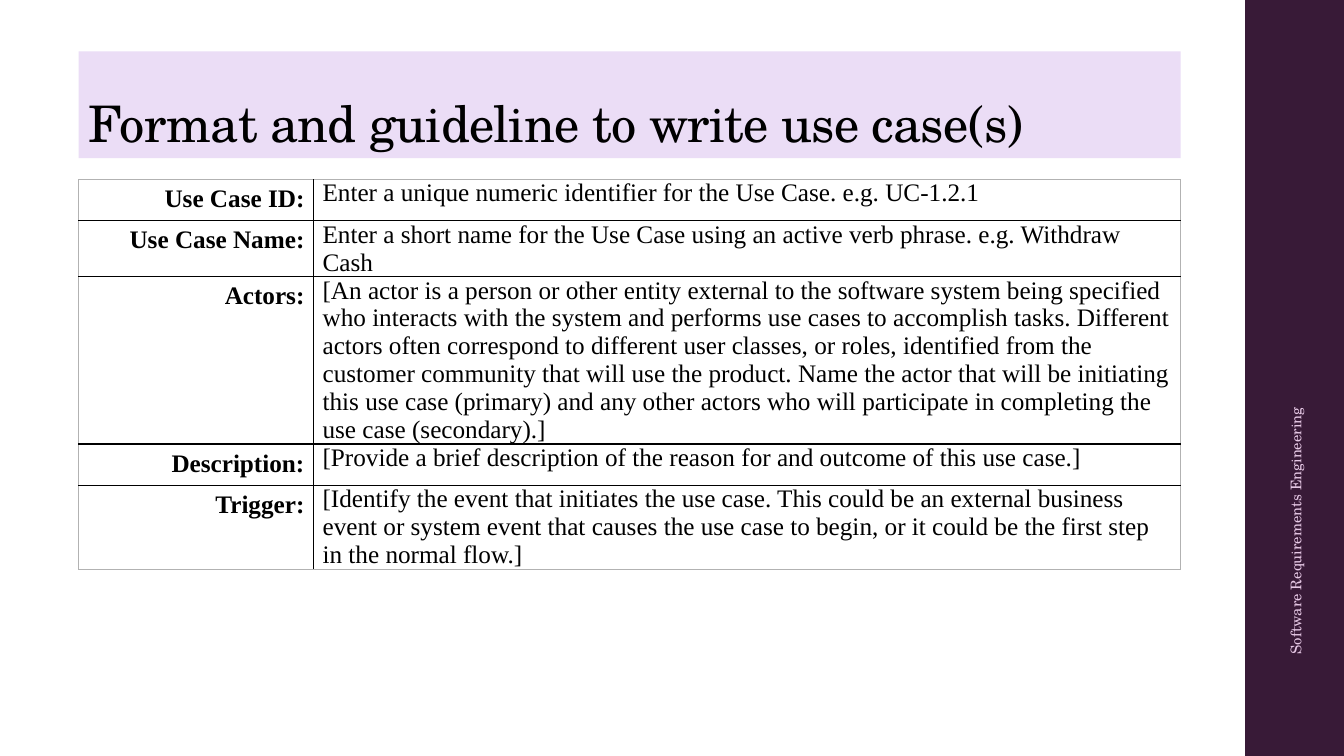
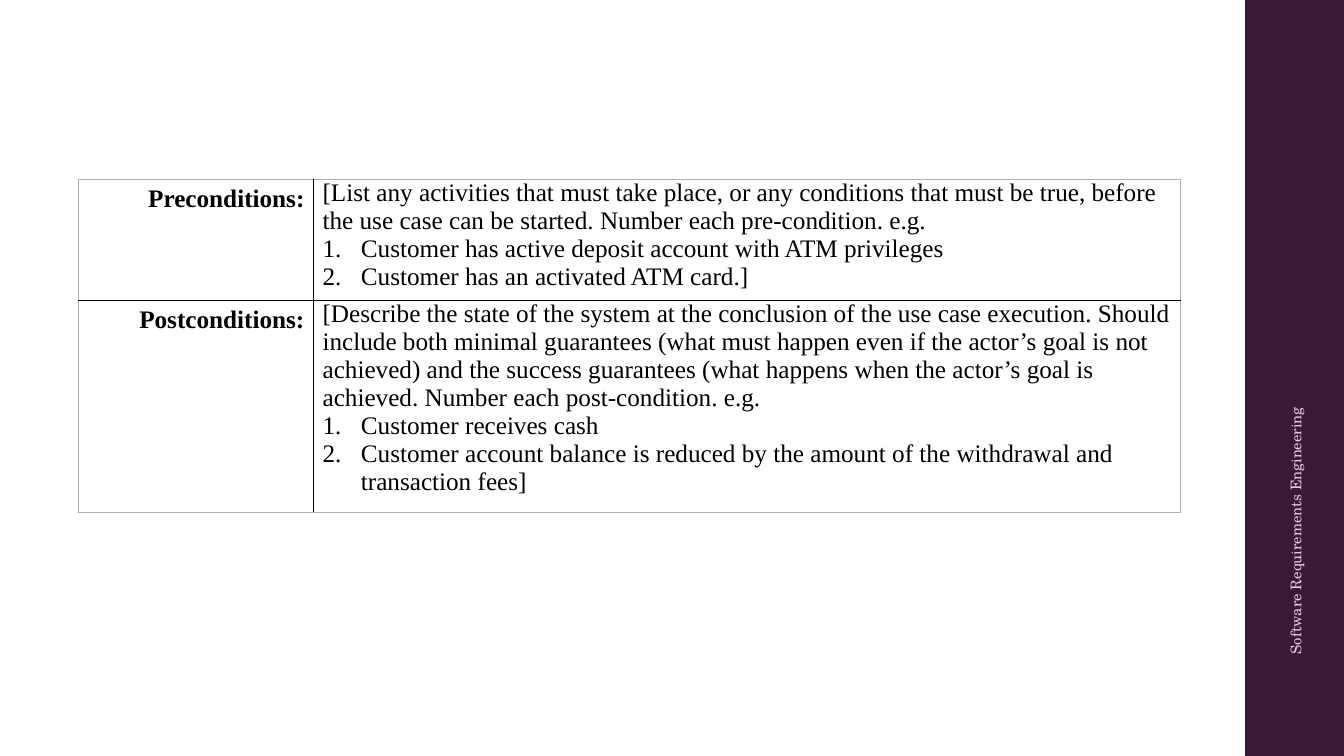
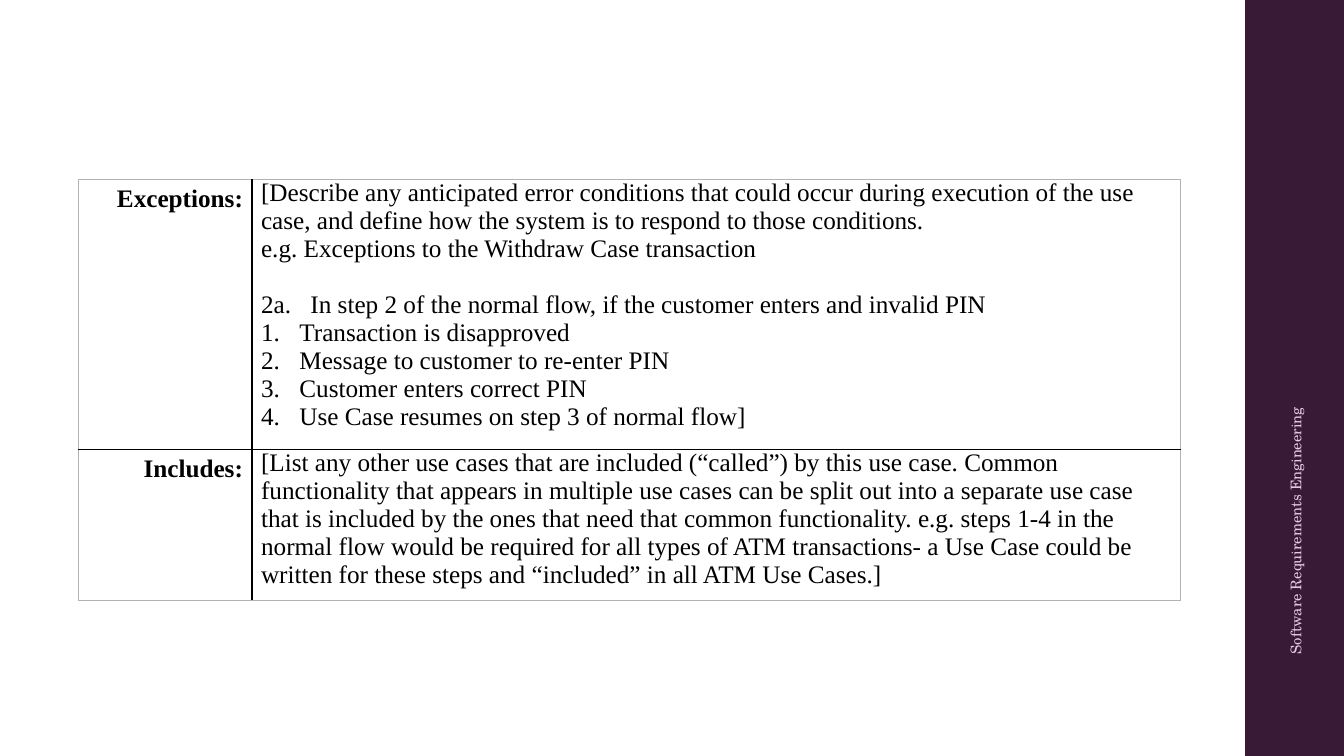
from pptx import Presentation
from pptx.dml.color import RGBColor
from pptx.enum.shapes import MSO_SHAPE
from pptx.enum.text import MSO_ANCHOR, PP_ALIGN
from pptx.oxml.ns import qn
from pptx.util import Inches, Pt
from lxml.etree import SubElement

PLUM = RGBColor(0x38, 0x1A, 0x37)
LILAC = RGBColor(0xEB, 0xDD, 0xF6)
PINK = RGBColor(0xE6, 0xC8, 0xE5)
BLACK = RGBColor(0, 0, 0)
GREY = RGBColor(0xB2, 0xB2, 0xB2)
HEAD, BODY = "TeX Gyre Schola", "Times New Roman"
WIDE, HIGH = 13.33, 7.5
LEFT, TOP, SPAN = 0.78, 1.78, 10.93
BAND = 12.35
ROW = 0.41

FOOTER = "Software Requirements Engineering"

# Each row is a label and its paragraphs: (kind, text).
SLIDES = [
    {"title": "Format and guideline to write use case(s)", "label": 2.33, "rows": [
        ("Use Case ID:", [
            ("plain", "Enter a unique numeric identifier for the Use Case. e.g. UC-1.2.1")]),
        ("Use Case Name:", [
            ("plain", "Enter a short name for the Use Case using an active verb phrase. "
                      "e.g. Withdraw Cash")]),
        ("Actors:", [
            ("plain", "[An actor is a person or other entity external to the software system "
                      "being specified who interacts with the system and performs use cases to "
                      "accomplish tasks. Different actors often correspond to different user "
                      "classes, or roles, identified from the customer community that will use "
                      "the product. Name the actor that will be initiating this use case "
                      "(primary) and any other actors who will participate in completing the "
                      "use case (secondary).]")]),
        ("Description:", [
            ("plain", "[Provide a brief description of the reason for and outcome of this "
                      "use case.]")]),
        ("Trigger:", [
            ("plain", "[Identify the event that initiates the use case. This could be an "
                      "external business event or system event that causes the use case to "
                      "begin, or it could be the first step in the normal flow.]")]),
    ]},
    {"label": 2.33, "rows": [
        ("Preconditions:", [
            ("plain", "[List any activities that must take place, or any conditions that must "
                      "be true, before the use case can be started. Number each pre-condition. "
                      "e.g."),
            ("number", "Customer has active deposit account with ATM privileges"),
            ("number", "Customer has an activated ATM card.]")]),
        ("Postconditions:", [
            ("plain", "[Describe the state of the system at the conclusion of the use case "
                      "execution. Should include both minimal guarantees (what must happen even "
                      "if the actor’s goal is not achieved) and the success guarantees (what "
                      "happens when the actor’s goal is achieved. Number each post-condition. "
                      "e.g."),
            ("number", "Customer receives cash"),
            ("number", "Customer account balance is reduced by the amount of the withdrawal "
                       "and transaction fees]")]),
    ]},
    {"label": 1.72, "rows": [
        ("Exceptions:", [
            ("plain", "[Describe any anticipated error conditions that could occur during "
                      "execution of the use case, and define how the system is to respond to "
                      "those conditions."),
            ("plain", "e.g. Exceptions to the Withdraw Case transaction"),
            ("step", "2a.\tIn step 2 of the normal flow, if the customer enters and invalid PIN"),
            ("number", "Transaction is disapproved"),
            ("number", "Message to customer to re-enter PIN"),
            ("number", "Customer enters correct PIN"),
            ("number", "Use Case resumes on step 3 of normal flow]")]),
        ("Includes:", [
            ("plain", "[List any other use cases that are included (“called”) by this use case. "
                      "Common functionality that appears in multiple use cases can be split out "
                      "into a separate use case that is included by the ones that need that "
                      "common functionality. e.g. steps 1-4 in the normal flow would be required "
                      "for all types of ATM transactions- a Use Case could be written for these "
                      "steps and “included” in all ATM Use Cases.]")]),
    ]},
]


def write(para, text, font, size, color, bold=False):
    run = para.add_run()
    run.text = text
    run.font.name, run.font.size, run.font.bold = font, Pt(size), bold
    run.font.color.rgb = color
    return run


def hang(para, depth):
    """Give a paragraph a hanging indent and return its properties."""
    props = para._p.get_or_add_pPr()
    props.set("marL", str(Inches(depth)))
    props.set("indent", str(-Inches(depth)))
    return props


def rule(cell, side, outer):
    """Draw one border, light at the table's edge and black inside."""
    line = SubElement(cell._tc.get_or_add_tcPr(), qn("a:ln" + side),
                      w=str(Pt(0.5 if outer else 1)))
    fill = SubElement(line, qn("a:solidFill"))
    SubElement(fill, qn("a:srgbClr"), val=str(GREY if outer else BLACK))


def add_grid(slide, label, rows):
    count = len(rows)
    frame = slide.shapes.add_table(count, 2, Inches(LEFT), Inches(TOP),
                                   Inches(SPAN), Inches(ROW * count))
    table = frame.table
    table.first_row = table.horz_banding = False
    table.columns[0].width = Inches(label)
    table.columns[1].width = Inches(SPAN - label)
    for r, (name, paras) in enumerate(rows):
        table.rows[r].height = Inches(ROW)
        for c in range(2):
            cell = table.cell(r, c)
            edges = {"L": c == 0, "R": c == 1, "T": r == 0, "B": r == count - 1}
            for side, outer in edges.items():
                rule(cell, side, outer)
            cell.fill.background()
            cell.margin_left = cell.margin_right = Inches(0.09)
            cell.margin_top = cell.margin_bottom = 0
        head, body = table.cell(r, 0), table.cell(r, 1)
        head.margin_top = Pt(12)
        para = head.text_frame.paragraphs[0]
        para.alignment, para.line_spacing = PP_ALIGN.RIGHT, Pt(12)
        write(para, name, BODY, 18, BLACK, True)
        for n, (kind, text) in enumerate(paras):
            frame = body.text_frame
            para = frame.add_paragraph() if n else frame.paragraphs[0]
            if kind == "number":
                SubElement(hang(para, 0.38), qn("a:buAutoNum"), type="arabicPeriod")
            elif kind == "step":
                para.space_before = Pt(20)
                hang(para, 0.49)
            write(para, text, BODY, 18, BLACK)


def add_title(slide, text):
    title = slide.shapes.title
    title.left, title.top = Inches(LEFT), Inches(0.51)
    title.width, title.height = Inches(SPAN), Inches(1.06)
    title.fill.solid()
    title.fill.fore_color.rgb = LILAC
    frame = title.text_frame
    frame.vertical_anchor = MSO_ANCHOR.BOTTOM
    para = frame.paragraphs[0]
    para.alignment, para.line_spacing = PP_ALIGN.LEFT, 0.9
    run = write(para, text, HEAD, 36, BLACK)
    run.font._element.set("spc", "-50")


def add_footer(slide):
    box = slide.shapes.add_textbox(Inches(10.89), Inches(4.43), Inches(3.92), Inches(0.4))
    box.rotation = 270
    frame = box.text_frame
    frame.word_wrap, frame.vertical_anchor = True, MSO_ANCHOR.MIDDLE
    write(frame.paragraphs[0], FOOTER, HEAD, 10.5, PINK)


def add_band(deck, slide):
    """Draw the side band and move it to the master, so every slide shows it."""
    band = slide.shapes.add_shape(MSO_SHAPE.RECTANGLE, Inches(BAND), 0,
                                  Inches(WIDE - BAND), Inches(HIGH))
    band.shadow.inherit = False
    band.fill.solid()
    band.fill.fore_color.rgb = PLUM
    band.line.fill.background()
    deck.slide_master.shapes.element.append(band.element)


def main():
    deck = Presentation()
    deck.slide_width, deck.slide_height = Inches(WIDE), Inches(HIGH)
    for n, data in enumerate(SLIDES):
        title = data.get("title")
        slide = deck.slides.add_slide(deck.slide_layouts[5 if title else 6])
        if n == 0:
            add_band(deck, slide)
        if title:
            add_title(slide, title)
        add_grid(slide, data["label"], data["rows"])
        add_footer(slide)
    deck.save("out.pptx")


if __name__ == "__main__":
    main()
